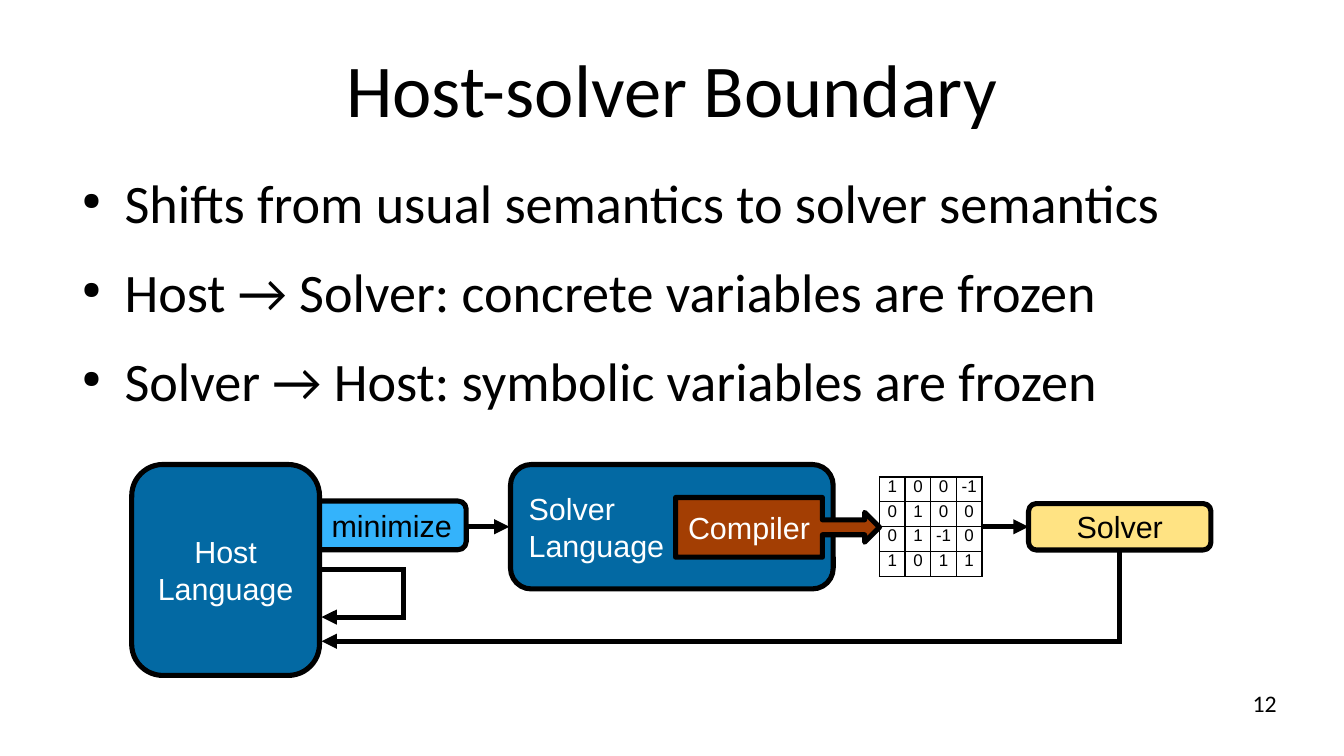
import pptx
import pptx.util
from lxml import etree
from pptx.dml.color import RGBColor
from pptx.enum.shapes import MSO_CONNECTOR, MSO_SHAPE
from pptx.enum.text import MSO_ANCHOR, PP_ALIGN
from pptx.oxml.ns import qn

W, H = pptx.util.Inches(11.02), pptx.util.Inches(6.2)
BLACK, WHITE, BLUE = "000000", "FFFFFF", "0369A3"
MATRIX = [["1", "0", "0", "-1"],
          ["0", "1", "0", "0"],
          ["0", "1", "-1", "0"],
          ["1", "0", "1", "1"]]


def rgb(value):
    return RGBColor.from_string(value)


def within(box, x, y, w=0, h=0):
    """Turn percentages of a box into a box in EMU."""
    left, top, width, height = box
    return (int(left + width * x / 100), int(top + height * y / 100),
            int(width * w / 100), int(height * h / 100))


def write(tf, lines, size, font, color=BLACK, align=PP_ALIGN.LEFT):
    for i, line in enumerate(lines):
        p = tf.paragraphs[0] if i == 0 else tf.add_paragraph()
        p.alignment = align
        r = p.add_run()
        r.text = line
        r.font.size = pptx.util.Pt(size)
        r.font.name = font
        r.font.color.rgb = rgb(color)


def text_box(s, box, lines, size, align=PP_ALIGN.LEFT, anchor=MSO_ANCHOR.TOP):
    tf = s.shapes.add_textbox(*box).text_frame
    tf.word_wrap = True
    tf.vertical_anchor = anchor
    tf.margin_left = tf.margin_right = tf.margin_top = tf.margin_bottom = 0
    write(tf, lines, size, "Calibri", align=align)
    return tf


def title(s, box):
    tf = text_box(s, box, ["Host-solver Boundary"], 44, PP_ALIGN.CENTER, MSO_ANCHOR.MIDDLE)
    tf.paragraphs[0].line_spacing = 0.9


def bullets(s, box):
    tf = text_box(s, box, ["Shifts from usual semantics to solver semantics",
                           "Host → Solver: concrete variables are frozen",
                           "Solver → Host: symbolic variables are frozen"], 32)
    for p in tf.paragraphs:
        p.line_spacing = 0.9
        p.space_before = pptx.util.Pt(18)
        pPr = p._p.get_or_add_pPr()
        pPr.set("marL", str(pptx.util.Inches(0.47)))
        pPr.set("indent", str(pptx.util.Inches(-0.35)))
        etree.SubElement(pPr, qn("a:buSzPct")).set("val", "45000")
        etree.SubElement(pPr, qn("a:buChar")).set("char", "●")


def node(s, box, kind, fill, lines, color, align=PP_ALIGN.CENTER, wrap=True):
    sp = s.shapes.add_shape(kind, *box)
    sp.shadow.inherit = False
    sp.fill.solid()
    sp.fill.fore_color.rgb = rgb(fill)
    sp.line.color.rgb = rgb(BLACK)
    sp.line.width = pptx.util.Pt(3)
    tf = sp.text_frame
    tf.word_wrap = wrap
    tf.vertical_anchor = MSO_ANCHOR.MIDDLE
    write(tf, lines, 18, "Arial", color, align)
    return sp


def arrow(s, box, *points):
    """Draw a straight or bent arrow through points given in percent of the box."""
    stops = [within(box, x, y)[:2] for x, y in points]
    if len(stops) == 2:
        sp = s.shapes.add_connector(MSO_CONNECTOR.STRAIGHT, *stops[0], *stops[1])
        etree.SubElement(sp._element.spPr, qn("a:effectLst"))
    else:
        path = s.shapes.build_freeform(*stops[0])
        path.add_line_segments(stops[1:], close=False)
        sp = path.convert_to_shape()
        sp.shadow.inherit = False
        sp.fill.background()
    sp.line.color.rgb = rgb(BLACK)
    sp.line.width = pptx.util.Pt(3)
    ln = sp.line._get_or_add_ln()
    etree.SubElement(ln, qn("a:miter")).set("lim", "800000")
    etree.SubElement(ln, qn("a:tailEnd")).set("type", "triangle")


def matrix(s, box):
    n = len(MATRIX)
    table = s.shapes.add_table(n, n, *box).table
    for i in range(n):
        table.columns[i].width = box[2] // n
        table.rows[i].height = box[3] // n
        for j in range(n):
            cell = table.cell(i, j)
            cell.margin_left = cell.margin_right = cell.margin_top = cell.margin_bottom = 0
            write(cell.text_frame, [MATRIX[i][j]], 10, "Arial", align=PP_ALIGN.CENTER)
            tcPr = cell._tc.get_or_add_tcPr()
            for side in ("L", "R", "T", "B"):
                ln = etree.SubElement(tcPr, qn("a:ln" + side), w=str(pptx.util.Pt(1)))
                fill = etree.SubElement(ln, qn("a:solidFill"))
                etree.SubElement(fill, qn("a:srgbClr")).set("val", BLACK)
            cell.fill.solid()
            cell.fill.fore_color.rgb = rgb(WHITE)


def diagram(s, box):
    rounded = MSO_SHAPE.ROUNDED_RECTANGLE
    matrix(s, within(box, 69.3, 5.8, 9.5, 47.4))
    arrow(s, box, (31, 29.5), (35, 29.5))
    node(s, within(box, 15.9, 17.3, 15.1, 23.1), rounded, "34B3FB", ["minimize"], BLACK,
         PP_ALIGN.RIGHT)
    node(s, within(box, 0, 0, 17.4, 100), rounded, BLUE, ["Host Language"], WHITE)
    node(s, within(box, 35.1, 0, 29.9, 59), rounded, BLUE, ["Solver", "Language"], WHITE,
         PP_ALIGN.LEFT)
    node(s, within(box, 83.1, 18.5, 16.9, 22), rounded, "FFE383", ["Solver"], BLACK)
    arrow(s, box, (78.9, 29.5), (83.1, 29.5))
    compiler = node(s, within(box, 50.4, 15.6, 18.9, 28.3), MSO_SHAPE.RIGHT_ARROW_CALLOUT,
                    "A33E03", ["Compiler"], WHITE, wrap=False)
    compiler.adjustments[3] = 0.72
    arrow(s, box, (91.5, 40.5), (91.5, 83.8), (17.6, 83.8))
    arrow(s, box, (17.4, 49.7), (25.2, 49.7), (25.2, 72.3), (17.6, 72.3))


def main():
    prs = pptx.Presentation()
    prs.slide_width, prs.slide_height = W, H
    s = prs.slides.add_slide(prs.slide_layouts[6])
    page = (0, 0, W, H)
    title(s, within(page, 5, 4, 90, 16.8))
    bullets(s, within(page, 5, 23.4, 90, 33.7))
    diagram(s, within(page, 9.8, 61.45, 80.3, 27.9))
    text_box(s, within(page, 71.7, 91.1, 23.3, 7), ["12"], 14, PP_ALIGN.RIGHT)
    prs.save("out.pptx")


if __name__ == "__main__":
    main()
